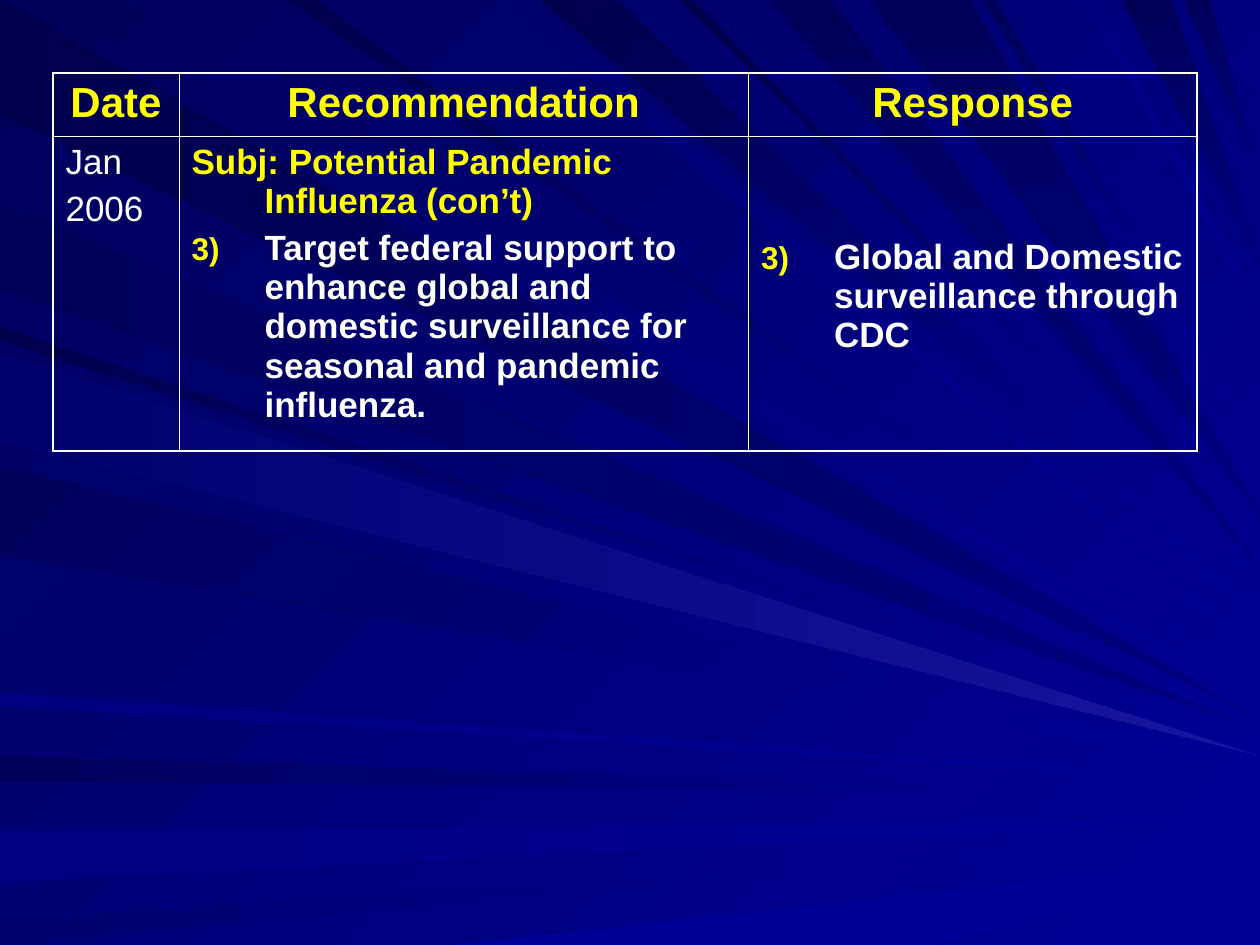
from dataclasses import dataclass
from typing import NamedTuple

from lxml import etree
from pptx import Presentation
from pptx.dml.color import RGBColor
from pptx.dml.fill import FillFormat
from pptx.enum.text import PP_ALIGN
from pptx.oxml.ns import qn
from pptx.util import Inches, Pt

LEFT, CENTER = PP_ALIGN.LEFT, PP_ALIGN.CENTER
WHITE, YELLOW = "FFFFFF", "FFFF00"
GLOW, BLUE, NAVY, DIM, DARK, DEEP = "1616A1", "000099", "000080", "00006E", "00005A", "00004C"
FONT = "Arial"
WIDTH, HEIGHT = 10, 7.5
OUTER, INNER = Pt(1.08), Pt(0.45)
INDENT = Inches(0.58)
ACROSS, DIAGONAL, DOWN = 180, 225, 90


class Ray(NamedTuple):
    edge: str
    near: float
    far: float
    tip: float
    start: str
    end: str
    angle: int


@dataclass
class Para:
    text: str
    color: str = WHITE
    size: int = 20
    bold: bool = True
    align: int = LEFT
    hanging: bool = False
    number: int = 0


@dataclass
class Cell:
    paras: list[Para]
    top: float = 0.05


RAYS = [
    Ray("left", 0, 0.9, 5.7, NAVY, DEEP, ACROSS),
    Ray("top", 0.3, 1, 5.6, BLUE, DARK, DIAGONAL),
    Ray("left", 6, 6.2, 6.3, BLUE, DARK, ACROSS),
    Ray("left", 6.6, 7, 6.5, BLUE, NAVY, ACROSS),
    Ray("left", 7.3, 7.5, 6.6, BLUE, DIM, ACROSS),
    Ray("bottom", 3.6, 7.4, 6.8, BLUE, BLUE, ACROSS),
    Ray("left", 2.6, 2.7, 5.9, BLUE, DEEP, DIAGONAL),
    Ray("left", 1.6, 2.3, 5.8, NAVY, DARK, ACROSS),
    Ray("top", 4, 4.2, 5.2, BLUE, DIM, DIAGONAL),
    Ray("top", 4.3, 4.9, 4.9, BLUE, DEEP, DIAGONAL),
    Ray("top", 5.4, 5.5, 4.6, BLUE, DEEP, DIAGONAL),
    Ray("top", 6.1, 6.6, 4.5, DARK, NAVY, DOWN),
    Ray("top", 8.9, 9.3, 2.1, DARK, NAVY, DOWN),
    Ray("top", 9.4, 9.6, 1.4, DARK, NAVY, DOWN),
    Ray("left", 2.8, 3.4, 6, BLUE, DARK, DIAGONAL),
    Ray("left", 3.7, 4.4, 6.1, BLUE, DARK, DIAGONAL),
    Ray("left", 5.5, 5.6, 6.2, BLUE, NAVY, ACROSS),
    Ray("top", 2.3, 2.5, 5.5, BLUE, DEEP, DIAGONAL),
    Ray("top", 6.9, 7.7, 4.1, DARK, NAVY, DOWN),
    Ray("top", 7.8, 7.9, 3.6, BLUE, DARK, DIAGONAL),
    Ray("top", 8.6, 8.7, 2.5, BLUE, NAVY, DIAGONAL),
    Ray("left", 2.8, 3.5, 6, GLOW, DIM, ACROSS),
]

COLUMNS, ROWS = [1, 4.52, 3.56], [0.5, 2.5]
HEADINGS = ["Date", "Recommendation", "Response"]
CELLS = [
    [Cell([Para(h, YELLOW, 24, align=CENTER)]) for h in HEADINGS],
    [
        Cell([Para("Jan", bold=False), Para("2006", bold=False)]),
        Cell([
            Para("Subj: Potential Pandemic Influenza (con’t)", YELLOW, hanging=True),
            Para("Target federal support to enhance global and domestic surveillance "
                 "for seasonal and pandemic influenza.", hanging=True, number=3),
        ]),
        Cell([Para("Global and Domestic surveillance through CDC", hanging=True, number=3)], top=0.81),
    ],
]


def rgb(color: str) -> RGBColor:
    return RGBColor.from_string(color)


def paint(fill: FillFormat, start: str, end: str, angle: int) -> None:
    fill.gradient()
    fill.gradient_angle = 360 - angle
    for stop, color in zip(fill.gradient_stops, (start, end)):
        stop.color.rgb = rgb(color)


def edge_point(edge: str, offset: float) -> tuple[int, int]:
    if edge == "left":
        return Inches(0), Inches(offset)
    return Inches(offset), Inches(0 if edge == "top" else HEIGHT)


def draw_ray(s, ray: Ray) -> None:
    builder = s.shapes.build_freeform(*edge_point(ray.edge, ray.near))
    builder.add_line_segments([edge_point(ray.edge, ray.far), (Inches(WIDTH), Inches(ray.tip))])
    sp = builder.convert_to_shape()
    sp.shadow.inherit = False
    sp.line.fill.background()
    paint(sp.fill, ray.start, ray.end, ray.angle)


def add_child(parent, tag: str, **attributes: str):
    return etree.SubElement(parent, qn(tag), **attributes)


def add_border(tcPr, tag: str, width: int) -> None:
    ln = add_child(tcPr, tag, w=str(width))
    add_child(add_child(ln, "a:solidFill"), "a:srgbClr", val=WHITE)


def write_para(p, para: Para, first: bool) -> None:
    pPr = p._p.get_or_add_pPr()
    if para.hanging:
        pPr.set("marL", str(INDENT))
        pPr.set("indent", str(-INDENT))
    if para.number:
        add_child(add_child(pPr, "a:buClr"), "a:srgbClr", val=YELLOW)
        add_child(pPr, "a:buSzPct", val="90000")
        add_child(pPr, "a:buAutoNum", type="arabicParenR", startAt=str(para.number))
    p.text = para.text
    p.alignment = para.align
    if not first:
        p.space_before = Pt(5)
    p.font.name = FONT
    p.font.size = Pt(para.size)
    p.font.bold = para.bold
    p.font.color.rgb = rgb(para.color)


def draw_table(s) -> None:
    frame = s.shapes.add_table(len(ROWS), len(COLUMNS), Inches(0.42), Inches(0.58),
                               Inches(sum(COLUMNS)), Inches(sum(ROWS)))
    table = frame.table
    table.first_row = table.horz_banding = False
    for column, width in zip(table.columns, COLUMNS):
        column.width = Inches(width)
    for row, height in zip(table.rows, ROWS):
        row.height = Inches(height)
    for i, row in enumerate(CELLS):
        for j, content in enumerate(row):
            cell = table.cell(i, j)
            edges = {"a:lnL": j == 0, "a:lnR": j == len(COLUMNS) - 1,
                     "a:lnT": i == 0, "a:lnB": i == len(ROWS) - 1}
            tcPr = cell._tc.get_or_add_tcPr()
            for tag, outer in edges.items():
                add_border(tcPr, tag, OUTER if outer else INNER)
            cell.fill.background()
            cell.margin_left = cell.margin_right = Inches(0.1)
            cell.margin_top, cell.margin_bottom = Inches(content.top), Inches(0.05)
            tf = cell.text_frame
            for k, para in enumerate(content.paras):
                write_para(tf.add_paragraph() if k else tf.paragraphs[0], para, k == 0)


def main() -> None:
    prs = Presentation()
    prs.slide_width, prs.slide_height = Inches(WIDTH), Inches(HEIGHT)
    s = prs.slides.add_slide(prs.slide_layouts[6])
    paint(s.background.fill, BLUE, DARK, DIAGONAL)
    for ray in RAYS:
        draw_ray(s, ray)
    draw_table(s)
    prs.save("out.pptx")


if __name__ == "__main__":
    main()
